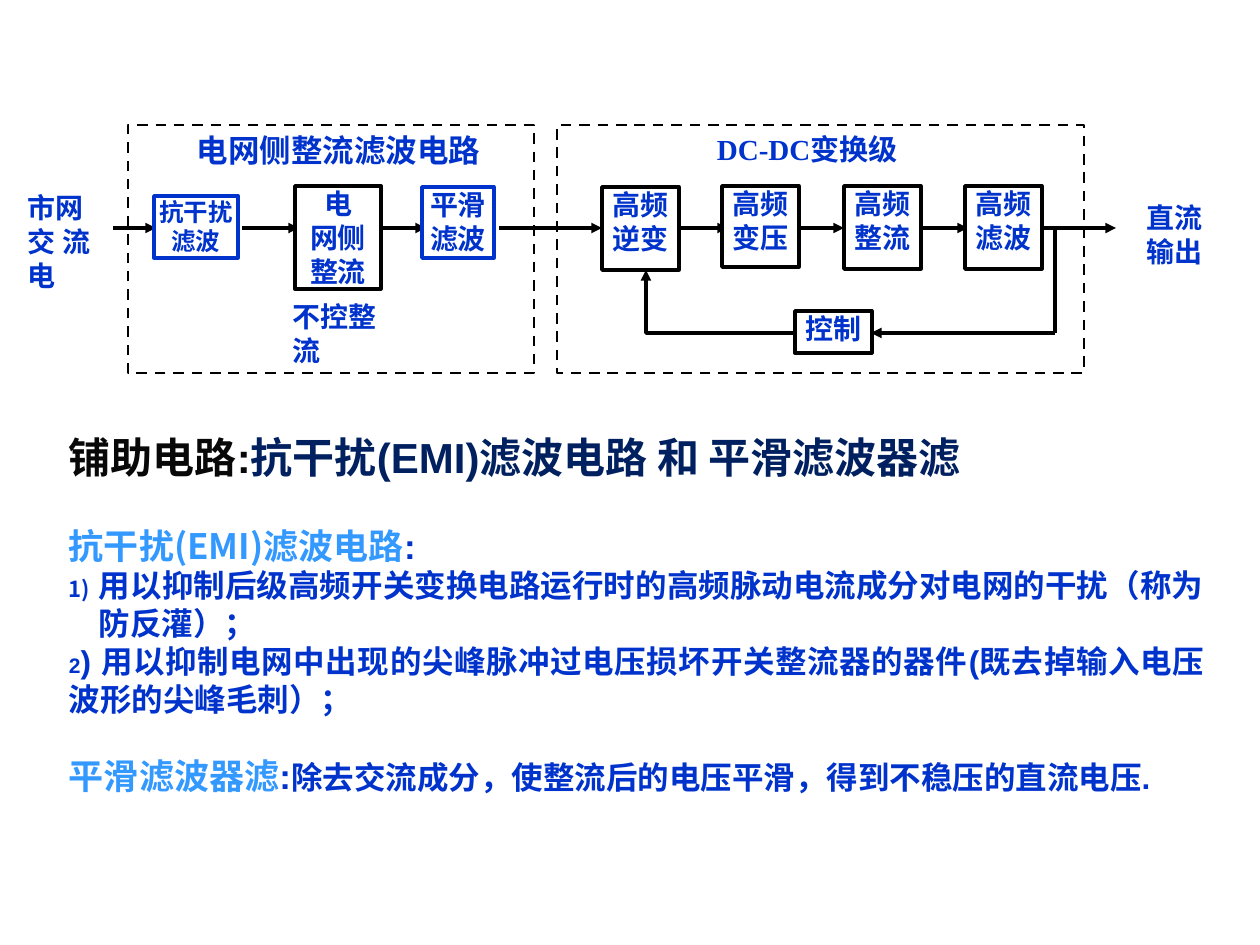
import pptx
import pptx.util
import pptx.dml.color
import pptx.enum.dml
import pptx.enum.shapes
import pptx.enum.text
import pptx.oxml.ns
from lxml import etree

PX = 914400 / 126
SHAPE = pptx.enum.shapes.MSO_SHAPE
ALIGN = pptx.enum.text.PP_ALIGN
ANCHOR = pptx.enum.text.MSO_ANCHOR
qn = pptx.oxml.ns.qn


class Theme:
    blue, black, white = "0033CC", "000000", "FFFFFF"
    ink, navy, sky = "080808", "002060", "3399FF"
    serif, sans, cjk = "Times New Roman", "Arial", "Noto Sans CJK JP"
    tiny, small, label, stage, body, sub, head = 12, 14, 16, 16.6, 18, 20, 24
    thin, dash, line = 0.75, 1.5, 2


T = Theme
C, J, L = ALIGN.CENTER, ALIGN.JUSTIFY, ALIGN.LEFT

# Frames: x, y, w, h
FRAMES = [(128, 125, 406, 248), (557, 125, 527, 248)]

# Captions: lines, (x, y, w, h), size, align, side inset, top inset, space before
CAPS = [
    (["电网侧整流滤波电路"], (184, 130, 315, 42), T.body, J, 13, 1, 0),
    (["DC-DC变换级"], (704, 130, 224, 42), T.stage, J, 13, 1, 0),
    (["市网", "交流电"], (15, 185, 89, 126), T.label, J, 13, 6, 0),
    (["直流输出"], (1124, 200, 102, 93), T.label, C, 13, 1, 3),
]

# Blocks: lines, (x, y, w, h), size, line colour, space before
BLOCKS = [
    (["抗干扰滤波"], (154, 196, 84, 62), T.small, T.blue, 2),
    (["电", "网侧", "整流"], (295, 186, 86, 103), T.label, T.black, 1),
    (["平滑", "滤波"], (422, 187, 72, 71), T.label, T.blue, 4),
    (["高频", "逆变"], (602, 187, 77, 83), T.label, T.black, 3),
    (["高频", "变压"], (722, 186, 77, 81), T.label, T.black, 2),
    (["高频", "整流"], (844, 186, 77, 83), T.label, T.black, 3),
    (["高频", "滤波"], (965, 186, 77, 83), T.label, T.black, 3),
    (["控制"], (795, 311, 77, 42), T.label, T.black, 1),
]

# Signal arrows along the main line: from x, to x
MAIN = 228
FLOW = [(113, 156), (242, 299), (381, 426), (499, 602), (672, 728),
        (795, 844), (921, 968), (1040, 1116)]
TAP, BACK = 1055, 333
LOOP = [(795, BACK), (646, BACK), (646, 270)]

# Notes: space before, numbered, runs of (text, size, font, colour)
NOTES = [
    (0, False, [("铺助电路:", T.head, T.sans, T.ink),
                ("抗干扰(EMI)滤波电路 和 平滑滤波器滤", T.head, T.sans, T.navy)]),
    (24, False, [("抗干扰(EMI)滤波电路", T.sub, T.cjk, T.sky),
                 (":", T.sub, T.sans, T.blue)]),
    (0, True, [("用以抑制后级高频开关变换电路运行时的高频脉动电流成分对电网的干扰"
                "（称为防反灌）；", T.body, T.sans, T.blue)]),
    (0, False, [("2", T.tiny, T.sans, T.blue),
                (") 用以抑制电网中出现的尖峰脉冲过电压损坏开关整流器的器件"
                 "(既去掉输入电压波形的尖峰毛刺）；", T.body, T.sans, T.blue)]),
    (21, False, [("平滑滤波器滤", T.sub, T.sans, T.sky),
                 (":", T.sub, T.sans, T.blue),
                 ("除去交流成分，使整流后的电压平滑，得到不稳压的直流电压.",
                  T.body, T.sans, T.blue)]),
]


def emu(*vals):
    return [round(v * PX) for v in vals]


def rgb(code):
    return pptx.dml.color.RGBColor.from_string(code)


def style(font, size, face, color):
    font.size, font.name, font.bold = pptx.util.Pt(size), face, True
    font.color.rgb = rgb(color)


def inset(frame, side, top):
    frame.margin_left = frame.margin_right = emu(side)[0]
    frame.margin_top = frame.margin_bottom = emu(top)[0]


def write(frame, lines, size, align, before=0, face=T.serif):
    frame.text = "\n".join(lines)
    for para in frame.paragraphs:
        para.alignment = align
        for run in para.runs:
            style(run.font, size, face, T.blue)
    frame.paragraphs[0].space_before = pptx.util.Pt(before)


def box(shapes, place, color, width):
    rect = shapes.add_shape(SHAPE.RECTANGLE, *emu(*place))
    rect.shadow.inherit = False
    rect.fill.solid()
    rect.fill.fore_color.rgb = rgb(T.white)
    rect.line.color.rgb = rgb(color)
    rect.line.width = pptx.util.Pt(width)
    rect.text_frame.vertical_anchor = ANCHOR.TOP
    rect.text_frame.word_wrap = True
    return rect


def stroke(item, head=True):
    item.line.color.rgb = rgb(T.black)
    item.line.width = pptx.util.Pt(T.line)
    if head:
        etree.SubElement(item.line._get_or_add_ln(), qn("a:tailEnd"), type="triangle")


def wire(shapes, x1, y1, x2, y2, head=True):
    line = shapes.add_connector(pptx.enum.shapes.MSO_CONNECTOR.STRAIGHT,
                                *emu(x1, y1, x2, y2))
    stroke(line, head)
    etree.SubElement(line._element.spPr, qn("a:effectLst"))


def number(para):
    """Give the paragraph a small hanging number such as 1)."""
    props = para._p.get_or_add_pPr()
    hang = emu(30)[0]
    props.set("marL", str(hang))
    props.set("indent", str(-hang))
    tint = etree.SubElement(props, qn("a:buClr"))
    etree.SubElement(tint, qn("a:srgbClr"), val=T.blue)
    etree.SubElement(props, qn("a:buSzPct"), val="70000")
    etree.SubElement(props, qn("a:buFont"), typeface=T.sans)
    etree.SubElement(props, qn("a:buAutoNum"), type="arabicParenR")


def notes(shapes):
    frame = shapes.add_textbox(*emu(56, 425, 1161, 378)).text_frame
    frame.word_wrap = True
    frame.vertical_anchor = ANCHOR.MIDDLE
    inset(frame, 13, 6)
    for i, (before, listed, runs) in enumerate(NOTES):
        para = frame.add_paragraph() if i else frame.paragraphs[0]
        if listed:
            number(para)
        para.alignment = J
        para.space_before = pptx.util.Pt(before)
        for text, *look in runs:
            run = para.add_run()
            run.text = text
            style(run.font, *look)


def main():
    deck = pptx.Presentation()
    deck.slide_width, deck.slide_height = emu(1260, 945)
    shapes = deck.slides.add_slide(deck.slide_layouts[6]).shapes
    notes(shapes)
    for place in FRAMES:
        frame = box(shapes, place, T.black, T.dash)
        frame.line.dash_style = pptx.enum.dml.MSO_LINE.DASH
    for lines, place, size, align, side, top, before in CAPS:
        cap = box(shapes, place, T.white, T.thin).text_frame
        inset(cap, side, top)
        write(cap, lines, size, align, before)
    for x1, x2 in FLOW:
        wire(shapes, x1, MAIN, x2, MAIN)
    for lines, place, size, color, before in BLOCKS:
        block = box(shapes, place, color, T.line).text_frame
        inset(block, 2, 1)
        write(block, lines, size, C, before)
    wire(shapes, TAP, MAIN, TAP, BACK, head=False)
    wire(shapes, TAP, BACK, 871, BACK)
    pen = shapes.build_freeform(*LOOP[0], scale=PX)
    pen.add_line_segments(LOOP[1:], close=False)
    loop = pen.convert_to_shape()
    loop.shadow.inherit = False
    loop.fill.background()
    stroke(loop)
    tag = shapes.add_textbox(*emu(280, 294, 136, 47)).text_frame
    tag.word_wrap = False
    inset(tag, 13, 6)
    write(tag, ["不控整流"], T.label, L, face=T.sans)
    deck.save("out.pptx")


if __name__ == "__main__":
    main()
